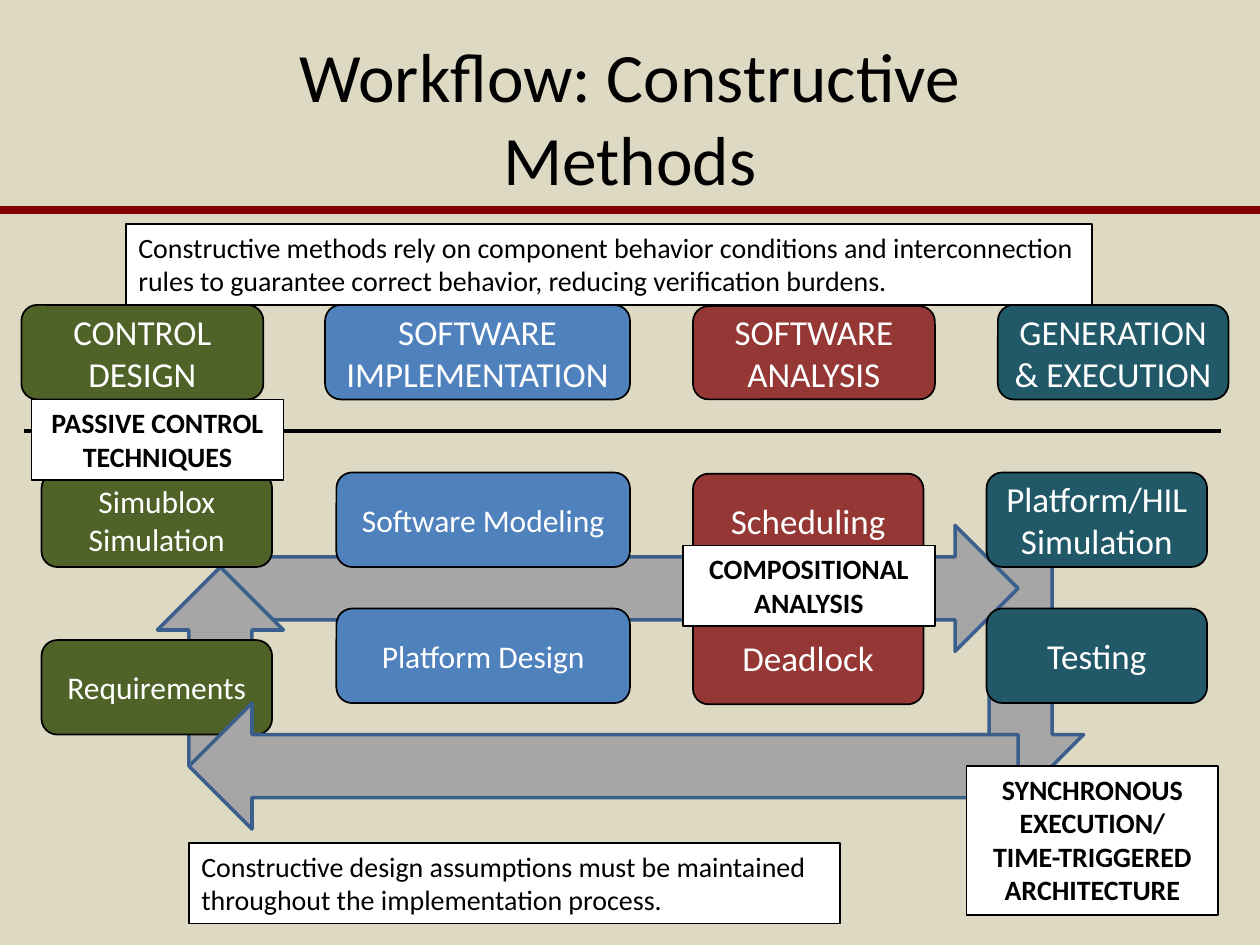
import dataclasses

import pptx
import pptx.dml.color
import pptx.enum.shapes
import pptx.enum.text
import pptx.oxml.ns
import pptx.util
from lxml import etree

Inches = pptx.util.Inches
Pt = pptx.util.Pt
SHAPE = pptx.enum.shapes.MSO_SHAPE
ALIGN = pptx.enum.text.PP_ALIGN
ANCHOR = pptx.enum.text.MSO_ANCHOR
AUTO = pptx.enum.text.MSO_AUTO_SIZE


@dataclasses.dataclass(frozen=True)
class Theme:
    font: str = "Calibri"
    background: str = "DDD9C3"
    ink: str = "000000"
    paper: str = "FFFFFF"
    rule: str = "800000"
    arrow: str = "A6A6A6"
    arrow_edge: str = "3A5F8C"
    control: str = "4F6228"
    software: str = "4F81BD"
    analysis: str = "953735"
    execution: str = "215968"
    title: float = 39.6
    large: float = 20
    medium: float = 18
    note: float = 16


class SlideBuilder:
    """Draw styled elements on the current slide."""

    def __init__(self, prs, theme):
        self.theme = theme
        self.s = prs.slides.add_slide(prs.slide_layouts[5])
        fill = self.s.background.fill
        fill.solid()
        fill.fore_color.rgb = self.rgb(theme.background)

    def rgb(self, color):
        return pptx.dml.color.RGBColor.from_string(color)

    def set_text(self, sp, text, size, color, align=ALIGN.CENTER, bold=False, **frame):
        tf = sp.text_frame
        tf.text = text
        for name, value in frame.items():
            setattr(tf, name, value)
        formats = {"name": self.theme.font, "size": Pt(size), "bold": bold}
        for p in tf.paragraphs:
            p.alignment = align
            for r in p.runs:
                for name, value in formats.items():
                    setattr(r.font, name, value)
                r.font.color.rgb = self.rgb(color)

    def title(self, text, *box):
        sp = self.s.shapes.title
        for name, value in zip(("left", "top", "width", "height"), box):
            setattr(sp, name, Inches(value))
        self.set_text(sp, text, self.theme.title, self.theme.ink,
                      vertical_anchor=ANCHOR.MIDDLE, word_wrap=True, auto_size=AUTO.NONE)

    def line(self, x1, y1, x2, y2, color, width):
        sp = self.s.shapes.add_connector(
            pptx.enum.shapes.MSO_CONNECTOR.STRAIGHT, *map(Inches, (x1, y1, x2, y2)))
        sp.line.color.rgb = self.rgb(color)
        sp.line.width = Pt(width)
        etree.SubElement(sp._element.spPr, pptx.oxml.ns.qn("a:effectLst"))

    def shape(self, kind, box, fill, edge, width=1):
        sp = self.s.shapes.add_shape(kind, *map(Inches, box))
        sp.shadow.inherit = False
        sp.fill.solid()
        sp.fill.fore_color.rgb = self.rgb(fill)
        sp.line.color.rgb = self.rgb(edge)
        sp.line.width = Pt(width)
        return sp

    def arrow(self, rotation, *box):
        sp = self.shape(SHAPE.RIGHT_ARROW, box, self.theme.arrow, self.theme.arrow_edge, 2)
        sp.rotation = rotation

    def stage(self, text, fill, size, *box):
        sp = self.shape(SHAPE.ROUNDED_RECTANGLE, box, fill, self.theme.ink)
        self.set_text(sp, text, size, self.theme.paper,
                      vertical_anchor=ANCHOR.MIDDLE, word_wrap=False)

    def note(self, text, *box, align=ALIGN.LEFT, bold=False):
        sp = self.shape(SHAPE.RECTANGLE, box, self.theme.paper, self.theme.ink)
        self.set_text(sp, text, self.theme.note, self.theme.ink, align, bold,
                      vertical_anchor=ANCHOR.TOP, word_wrap=True,
                      auto_size=AUTO.SHAPE_TO_FIT_TEXT)

    def label(self, text, left, top, height=0.64):
        self.note(text, left, top, 2, height, align=ALIGN.CENTER, bold=True)


def main():
    prs = pptx.Presentation()
    prs.slide_width, prs.slide_height = Inches(10), Inches(7.5)
    t = Theme()
    b = SlideBuilder(prs, t)

    b.line(0, 1.67, 10, 1.67, t.rule, 4.5)
    b.title("Workflow: Constructive\vMethods", 0.5, 0.3, 9, 1.25)

    b.arrow(90, 7.1, 4.83, 2, 1)
    b.arrow(0, 1.75, 4.17, 6.33, 1)
    b.arrow(270, 0.96, 4.79, 1.58, 1)

    headings = [
        ("CONTROL\nDESIGN", t.control, 0.17, 2.42, 1.92, 0.75),
        ("SOFTWARE\nIMPLEMENTATION", t.software, 2.58, 2.42, 2.42, 0.75),
        ("SOFTWARE\nANALYSIS", t.analysis, 5.5, 2.43, 1.92, 0.74),
        ("GENERATION\n& EXECUTION", t.execution, 7.92, 2.42, 1.83, 0.75),
    ]
    for text, fill, *box in headings:
        b.stage(text, fill, t.large, *box)

    design_steps = (
        (t.control, t.medium, 0.33, 1.83, 0.75,
         (("Simublox\nSimulation", 3.75), ("Requirements", 5.08))),
        (t.software, t.medium, 2.67, 2.33, 0.75,
         (("Software Modeling", 3.75), ("Platform Design", 4.83))),
    )
    check_steps = (
        (t.analysis, t.large, 5.5, 1.83, 0.74,
         (("Scheduling", 3.76), ("Deadlock", 4.85))),
        (t.execution, t.large, 7.83, 1.75, 0.75,
         (("Platform/HIL\nSimulation", 3.75), ("Testing", 4.83))),
    )

    def add_steps(columns):
        for fill, size, left, width, height, steps in columns:
            for text, top in steps:
                b.stage(text, fill, size, left, top, width, height)

    add_steps(design_steps)
    b.arrow(180, 1.5, 5.58, 6.58, 1)
    add_steps(check_steps)

    b.line(9.69, 3.42, 0.19, 3.42, t.ink, 2)
    b.note("Constructive design assumptions must be maintained throughout the "
           "implementation process.", 1.5, 6.69, 5.17, 0.64)
    b.label("PASSIVE CONTROL\nTECHNIQUES", 0.25, 3.17)
    b.label("COMPOSITIONAL\nANALYSIS", 5.42, 4.33)
    b.note("Constructive methods rely on component behavior conditions and "
           "interconnection rules to guarantee correct behavior, reducing "
           "verification burdens.", 1, 1.78, 7.67, 0.64)
    b.label("SYNCHRONOUS EXECUTION/\nTIME-TRIGGERED\nARCHITECTURE", 7.67, 6.08, 1.18)

    prs.save("out.pptx")


if __name__ == "__main__":
    main()
